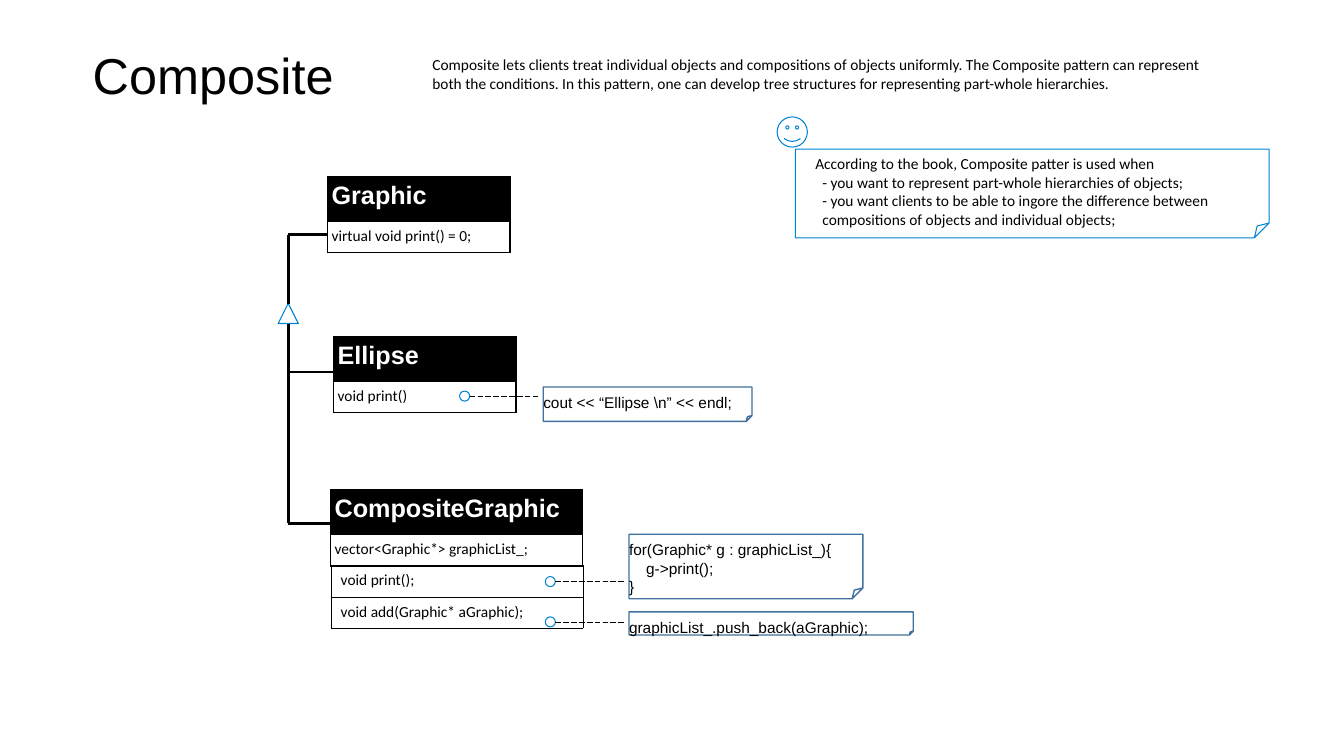
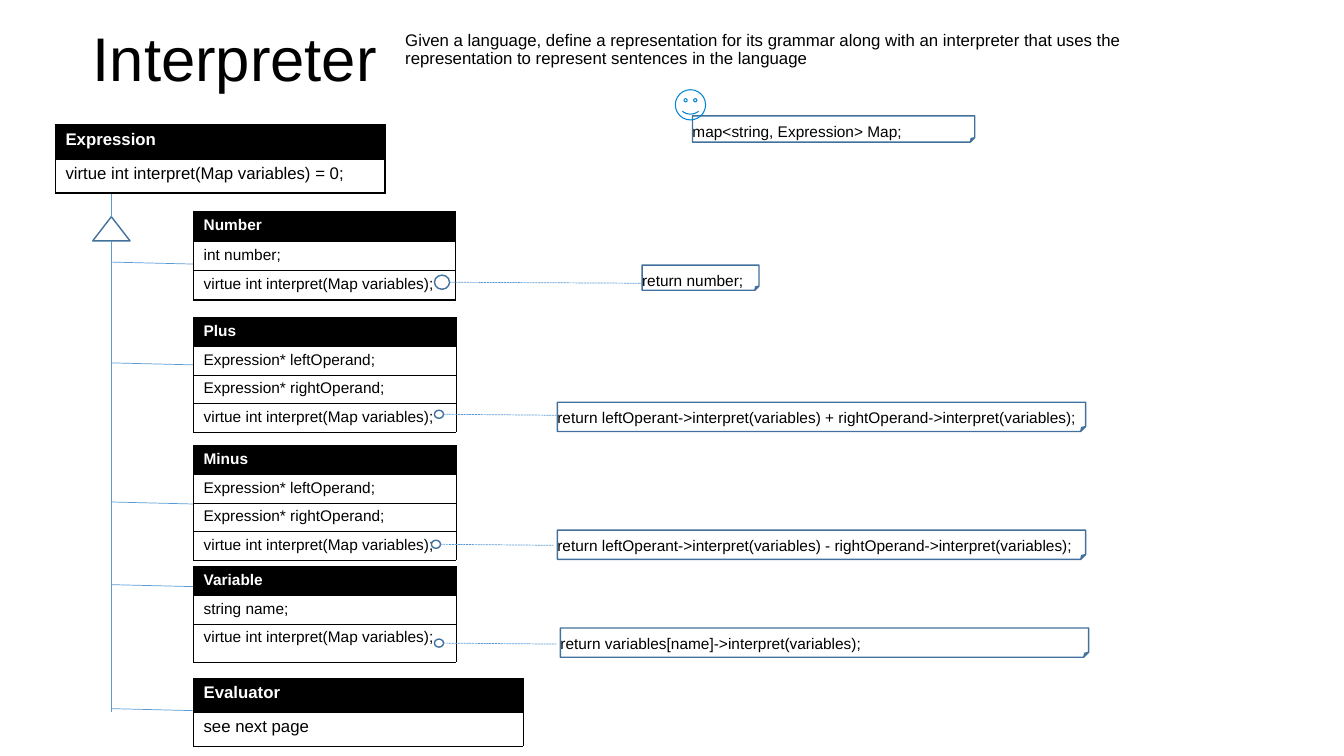
import typing

import pptx
import pptx.dml.color
import pptx.enum.dml
import pptx.enum.shapes
import pptx.enum.text
import pptx.oxml
import pptx.oxml.ns
import pptx.util

RGBColor = pptx.dml.color.RGBColor
BLACK = RGBColor(0x00, 0x00, 0x00)
WHITE = RGBColor(0xFF, 0xFF, 0xFF)
SKETCH_BLUE = RGBColor(0x00, 0x84, 0xD1)
STEEL_BLUE = RGBColor(0x41, 0x71, 0x9C)
SKY_BLUE = RGBColor(0x5B, 0x9B, 0xD5)

SHAPE = pptx.enum.shapes.MSO_SHAPE
DASH = pptx.enum.dml.MSO_LINE_DASH_STYLE
ANCHOR = pptx.enum.text.MSO_ANCHOR
LEFT = pptx.enum.text.PP_ALIGN.LEFT
Pt = pptx.util.Pt

# The slide is a grid of square cells, ten to the inch.
COLUMNS, ROWS = 133.33, 75
CELL = 91440

PLAIN_INSET = (0, 0, 0, 0)
TEXT_INSET = (1, 0.5, 1, 0.5)
TIGHT_INSET = (0.4, 0.5, 0.4, 0.5)
NOTE_INSET = (0, 0.6, 1.1, 0.6)


def font(name, size, bold=False):
    return {"name": name, "size": Pt(size), "bold": bold}


def stroke(color, width, dash=None):
    return {"color": color, "format": {"width": Pt(width), "dash_style": dash}}


ARIAL_11, ARIAL_12, CALIBRI_11 = font("Arial", 11), font("Arial", 12), font("Calibri", 11)

SKETCH = stroke(SKETCH_BLUE, 0)
STEEL = stroke(STEEL_BLUE, 1)
HAIRLINE = stroke(BLACK, 0)
HAIRLINE_DASHED = stroke(BLACK, 0.5, DASH.LONG_DASH)
SKY = stroke(SKY_BLUE, 0.5)
SKY_DASHED = stroke(SKY_BLUE, 0.5, DASH.SQUARE_DOT)


class ClassLook(typing.NamedTuple):
    heading: dict
    member: dict
    inset: tuple
    rule: float


THICK, THIN = 1.13, 0.06
PATTERN_CLASS = ClassLook(font("Arial", 18, True), CALIBRI_11, TIGHT_INSET, THICK)
OPERATION = PATTERN_CLASS._replace(inset=TEXT_INSET, rule=THIN)
LARGE_CLASS = ClassLook(font("Arial", 12, True), ARIAL_12, TEXT_INSET, THICK)
SMALL_CLASS = ClassLook(font("Arial", 11, True), ARIAL_11, TEXT_INSET, THICK)


def cells(count):
    return pptx.util.Emu(round(count * CELL))


def place(box):
    return [cells(length) for length in box]


def apply(target, values):
    for name, value in values.items():
        setattr(target, name, value)


def margins(inset):
    sides = ("margin_left", "margin_top", "margin_right", "margin_bottom")
    return dict(zip(sides, place(inset)))


def draw_stroke(line, look):
    line.color.rgb = look["color"]
    apply(line, look["format"])


def write(frame, lines, text_font, color=BLACK, spacing=None, indent=0):
    """Fill a frame with one paragraph a line; the indent is for all but the first."""
    for index, text in enumerate(lines):
        paragraph = frame.add_paragraph() if index else frame.paragraphs[0]
        apply(paragraph, {"alignment": LEFT, "line_spacing": spacing})
        if index and indent:
            paragraph._p.get_or_add_pPr().set("marL", str(cells(indent)))
        run = paragraph.add_run()
        run.text = text
        apply(run.font, text_font)
        run.font.color.rgb = color


def text_block(slide, box, lines, text_font, inset=TEXT_INSET,
               anchor=ANCHOR.TOP, spacing=None, indent=0):
    frame = slide.shapes.add_textbox(*place(box)).text_frame
    apply(frame, {"word_wrap": True, "vertical_anchor": anchor, **margins(inset)})
    write(frame, lines, text_font, spacing=spacing, indent=indent)


def title(slide, box, text, size):
    text_block(slide, box, [text], font("Arial", size), PLAIN_INSET, ANCHOR.MIDDLE, 0.9)


def outline(slide, kind, box, look):
    shape = slide.shapes.add_shape(kind, *place(box))
    shape.shadow.inherit = False
    shape.fill.background()
    draw_stroke(shape.line, look)
    return shape


def link(slide, start, end, look):
    connector = slide.shapes.add_connector(
        pptx.enum.shapes.MSO_CONNECTOR.STRAIGHT, *place((*start, *end)))
    draw_stroke(connector.line, look)
    properties = connector._element.spPr
    properties.append(properties.makeelement(pptx.oxml.ns.qn("a:effectLst"), {}))


def code_note(slide, box, lines):
    frame = outline(slide, SHAPE.FOLDED_CORNER, box, STEEL).text_frame
    apply(frame, {"word_wrap": False, "vertical_anchor": ANCHOR.TOP,
                  **margins(NOTE_INSET)})
    write(frame, lines, ARIAL_11)


def callout(slide, dot, reach, note, lines, dot_look, line_look, drop=0):
    """A code note tied by a dashed line to a dot on a class member."""
    left, top, width, height = dot
    start = (left + width, top + height / 2)
    outline(slide, SHAPE.OVAL, dot, dot_look)
    link(slide, start, (start[0] + reach, start[1] + drop), line_look)
    code_note(slide, note, lines)


def smiley(slide, left, top):
    outline(slide, SHAPE.SMILEY_FACE, (left, top, 3, 3), SKETCH)


def rule_cell(cell, width):
    properties = cell._tc.get_or_add_tcPr()
    for index, side in enumerate(("lnL", "lnR", "lnT", "lnB")):
        properties.insert(index, pptx.oxml.parse_xml(
            f'<a:{side} {pptx.oxml.ns.nsdecls("a")} w="{Pt(width)}">'
            f'<a:solidFill><a:srgbClr val="{BLACK}"/></a:solidFill></a:{side}>'))


def class_box(slide, corner, width, heights, name, members, look, operations=()):
    """A class: its name, then members, then operations set in a lighter look."""
    entries = [(name, look), *((text, look) for text in members),
               *((text, OPERATION) for text in operations)]
    box = (*corner, width, sum(heights))
    table = slide.shapes.add_table(len(entries), 1, *place(box)).table
    apply(table, {"first_row": False, "horz_banding": False})
    for index, ((text, row_look), height) in enumerate(zip(entries, heights)):
        table.rows[index].height = cells(height)
        cell = table.cell(index, 0)
        heading = index == 0
        cell.fill.solid()
        cell.fill.fore_color.rgb = BLACK if heading else WHITE
        apply(cell, margins(row_look.inset))
        write(cell.text_frame, [text], row_look.heading if heading else row_look.member,
              WHITE if heading else BLACK)
        rule_cell(cell, row_look.rule)


def composite_inheritance(slide, spine):
    outline(slide, SHAPE.ISOSCELES_TRIANGLE, (spine - 1, 30.1, 2, 2), SKETCH)
    for top, bottom in ((23.3, 30.2), (32.1, 51.9)):
        link(slide, (spine, top), (spine, bottom), HAIRLINE)
    for row, end in ((23.3, 32.4), (36.9, 33.1), (51.9, 32.8)):
        link(slide, (spine, row), (end, row), HAIRLINE)


def usage_note(slide, box):
    left, top, width, height = box
    smiley(slide, left - 1.8, top - 3.2)
    outline(slide, SHAPE.FOLDED_CORNER, box, SKETCH)
    text_block(slide, (left + 1, top, width - 2, height), [
        "According to the book, Composite patter is used when",
        "- you want to represent part-whole hierarchies of objects;",
        "- you want clients to be able to ingore the difference between",
        "compositions of objects and individual objects;",
    ], CALIBRI_11, indent=0.7)


def composite_slide(slide):
    title(slide, (9.2, 4.3, 25.8, 7), "Composite", 36)
    text_block(slide, (41.9, 5, 79.1, 5.9), [
        "Composite lets clients treat individual objects and compositions of objects "
        "uniformly. The Composite pattern can represent both the conditions. In this "
        "pattern, one can develop tree structures for representing part-whole "
        "hierarchies."], CALIBRI_11)
    heights = (4.45, 3.1, 3.1, 3.1)
    class_box(slide, (32.5, 17.5), 18.1, heights[:2], "Graphic",
              ["virtual void print() = 0;"], PATTERN_CLASS)
    class_box(slide, (33.1, 33.4), 18.1, heights[:2], "Ellipse",
              ["void print()"], PATTERN_CLASS)
    class_box(slide, (32.8, 48.6), 25, heights, "CompositeGraphic",
              ["vector<Graphic*> graphicList_;"], PATTERN_CLASS,
              ["void print();", "void add(Graphic* aGraphic);"])
    composite_inheritance(slide, 28.6)
    for dot, note, lines in (
        ((45.6, 38.8), (53.9, 38.4, 20.7, 3.4), ["cout << “Ellipse \\n” << endl;"]),
        ((54.1, 57.2), (62.4, 53, 23.2, 6.4),
         ["for(Graphic* g : graphicList_){", "    g->print();", "}"]),
        ((54.1, 61.2), (62.4, 60.7, 28.2, 2.3), ["graphicList_.push_back(aGraphic);"]),
    ):
        callout(slide, (*dot, 1, 1), 7, note, lines, SKETCH, HAIRLINE_DASHED)
    usage_note(slide, (78.9, 14.8, 47, 8.8))


def interpreter_inheritance(slide, spine):
    outline(slide, SHAPE.ISOSCELES_TRIANGLE, (spine - 1.8, 21.5, 3.7, 2.4), STEEL)
    for top, bottom in ((19.1, 21.5), (23.9, 70.6)):
        link(slide, (spine, top), (spine, bottom), SKY)
    for row in (26, 36, 49.8, 58, 70.3):
        link(slide, (spine, row), (spine + 8.2, row + 0.2), SKY)


def interpreter_classes(slide, left):
    interpret = "virtue int interpret(Map variables);"
    operands = ["Expression* leftOperand;", "Expression* rightOperand;", interpret]
    light = SMALL_CLASS._replace(rule=THIN)
    class_box(slide, (5.5, 12.4), 32.7, [3.37] * 2, "Expression",
              ["virtue int interpret(Map variables) = 0;"], LARGE_CLASS)
    class_box(slide, (left, 21), 26, [2.92] * 3, "Number",
              ["int number;", interpret], SMALL_CLASS)
    for name, top in (("Plus", 31.5), ("Minus", 44.2)):
        class_box(slide, (left, top), 26, [2.84] * 4, name, operands, light)
    class_box(slide, (left, 56.2), 26, [2.84, 2.84, 3.8], "Variable",
              ["string name;", interpret], light)
    class_box(slide, (left, 67.3), 32.7, [3.37] * 2, "Evaluator",
              ["see next page"], LARGE_CLASS._replace(rule=THIN))


def interpreter_slide(slide):
    title(slide, (9.2, 2, 28.8, 8.2), "Interpreter", 44)
    text_block(slide, (40.2, 3.2, 76.1, 8.7), [
        "Given a language, define a representation for its grammar along with an "
        "interpreter that uses the representation to represent sentences in the "
        "language"], ARIAL_12, PLAIN_INSET, spacing=0.9)
    interpreter_inheritance(slide, 11)
    interpreter_classes(slide, 19.2)
    for dot, reach, note, code in (
        ((43.1, 27.3, 1.5, 1.4), 19, (63.7, 26.3, 11.6, 2.5), "return number;"),
        ((43.1, 40.7, 0.9, 0.8), 11.2, (55.3, 39.9, 52.4, 2.9),
         "return leftOperant->interpret(variables) + rightOperand->interpret(variables);"),
        ((42.8, 53.6, 0.9, 0.8), 11.2, (55.3, 52.6, 52.4, 2.9),
         "return leftOperant->interpret(variables) - rightOperand->interpret(variables);"),
        ((43.1, 63.4, 0.9, 0.8), 11.2, (55.6, 62.3, 52.4, 2.9),
         "return variables[name]->interpret(variables);"),
    ):
        callout(slide, dot, reach, note, [code], STEEL, SKY_DASHED, drop=0.1)
    code_note(slide, (68.7, 11.5, 28, 2.6), ["map<string, Expression> Map;"])
    smiley(slide, 67, 8.9)


def main():
    deck = pptx.Presentation()
    apply(deck, {"slide_width": cells(COLUMNS), "slide_height": cells(ROWS)})
    blank = deck.slide_layouts[6]
    for build in (composite_slide, interpreter_slide):
        build(deck.slides.add_slide(blank))
    deck.save("out.pptx")


if __name__ == "__main__":
    main()
